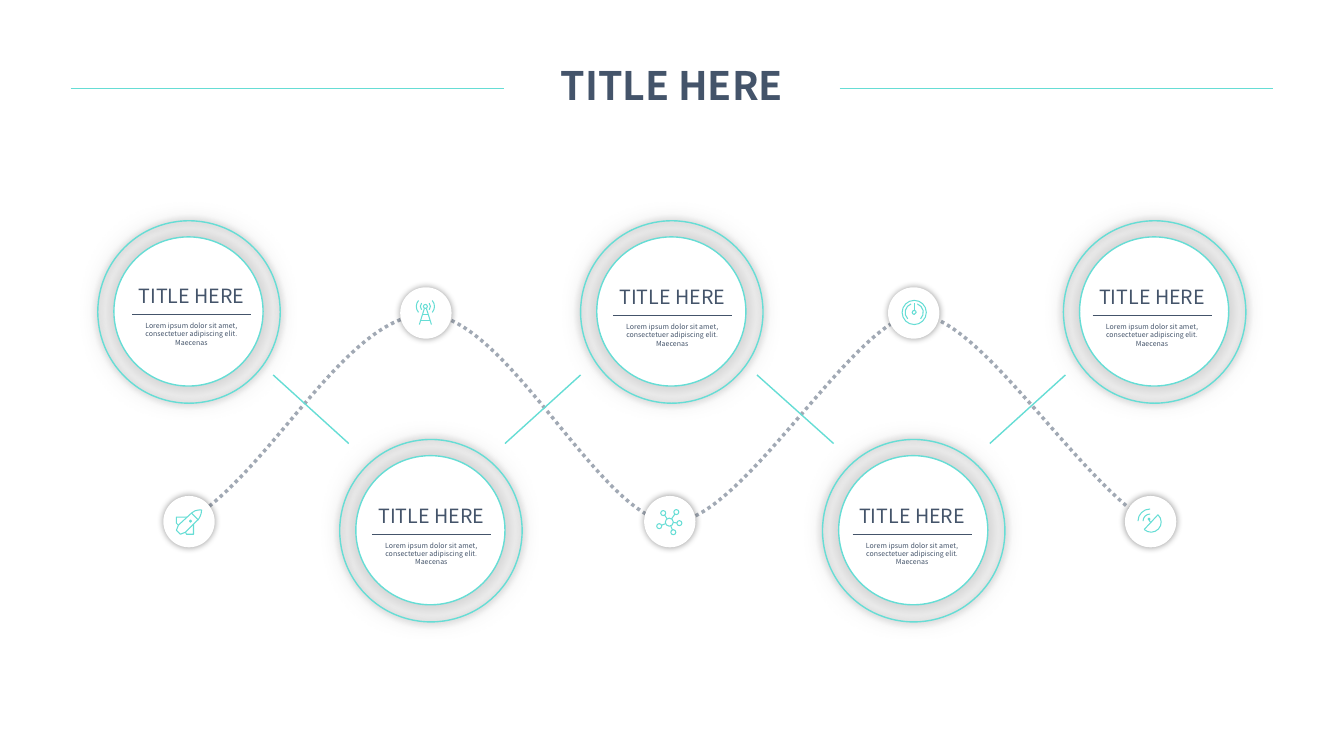
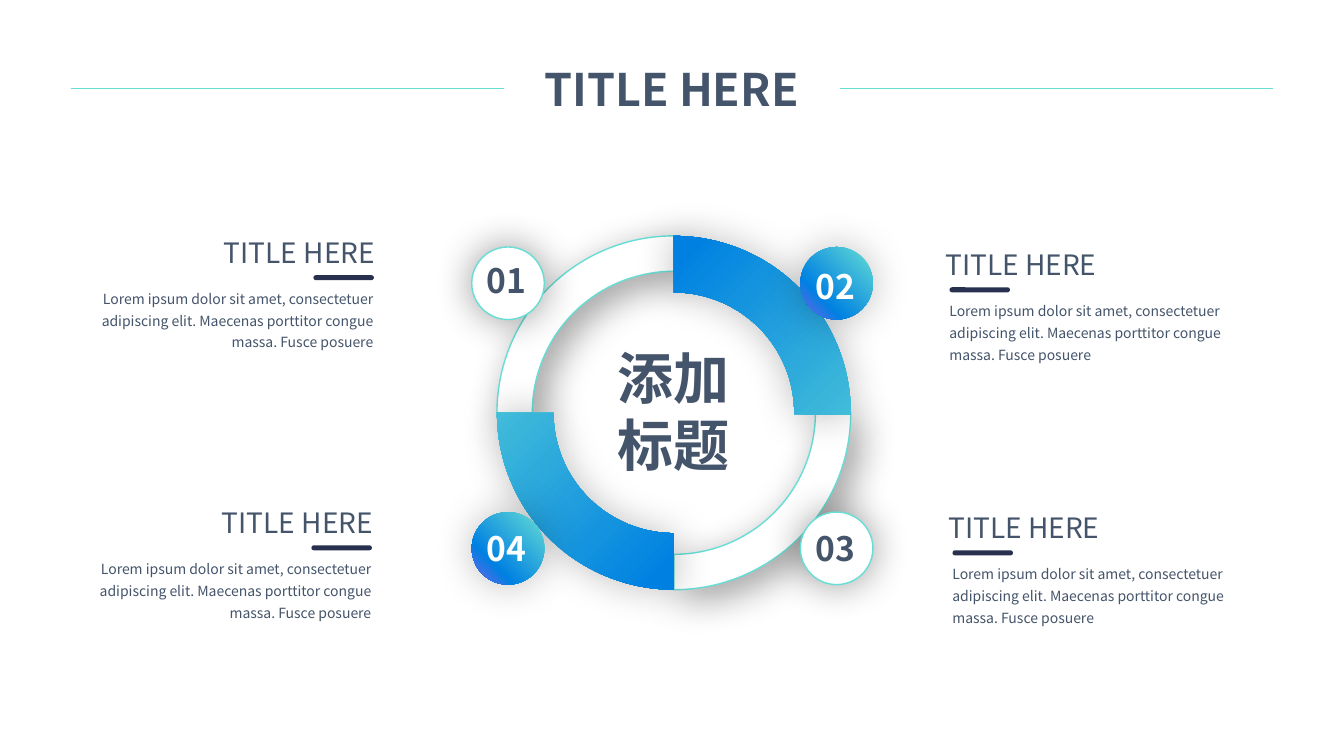
from math import cos, sin, tan, radians, hypot

from lxml import etree
from pptx import Presentation
from pptx.dml.color import RGBColor
from pptx.enum.dml import MSO_LINE
from pptx.enum.shapes import MSO_CONNECTOR, MSO_SHAPE
from pptx.enum.text import MSO_AUTO_SIZE, PP_ALIGN
from pptx.oxml.ns import qn
from pptx.util import Emu, Pt

PX = 9144  # 100 px to the inch
FONT = "Noto Sans CJK SC"
OVAL, ARC, PILL = MSO_SHAPE.OVAL, MSO_SHAPE.BLOCK_ARC, MSO_SHAPE.ROUNDED_RECTANGLE
LINE, DOTS, GROW = MSO_CONNECTOR.STRAIGHT, MSO_LINE.ROUND_DOT, MSO_AUTO_SIZE.SHAPE_TO_FIT_TEXT
LEFT, MID, RIGHT = PP_ALIGN.LEFT, PP_ALIGN.CENTER, PP_ALIGN.RIGHT
COLORS = {"ink": "44546A", "teal": "66DDD5", "blue": "0081E1", "violet": "8160EB",
          "navy": "27304F", "white": "FFFFFF", "black": "000000"}
BLEND = [(0, "teal"), (71, "blue")]
HEAD = "TITLE HERE"
SHORT = "Lorem ipsum dolor sit amet, consectetuer adipiscing elit. Maecenas"
LONG = SHORT + " porttitor congue massa. Fusce posuere"


def emu(px):
    return Emu(round(px * PX))


def rgb(name):
    return RGBColor.from_string(COLORS[name])


def arc(x, y, r, start=0, end=360):
    """Bézier knots along a circle, in degrees clockwise from the right."""
    count = -(-abs(end - start) // 90)
    step = radians((end - start) / count)
    pull = 4 / 3 * tan(step / 4)
    knots = [(x + r * cos(radians(start)), y + r * sin(radians(start)))]
    for i in range(count):
        a = radians(start) + i * step
        b = a + step
        knots += [(x + r * (cos(a) - pull * sin(a)), y + r * (sin(a) + pull * cos(a))),
                  (x + r * (cos(b) + pull * sin(b)), y + r * (sin(b) - pull * cos(b))),
                  (x + r * cos(b), y + r * sin(b))]
    return knots


def edge(*points):
    """Bézier knots of straight sides."""
    return [points[0]] + [p for p in points[1:] for _ in range(3)]


class Deck:
    def __init__(self):
        self.file = Presentation()
        self.file.slide_width, self.file.slide_height = emu(1333.33), emu(750)

    def page(self, title, size):
        """Start a slide with its title between two rules."""
        self.slide = self.file.slides.add_slide(self.file.slide_layouts[6])
        self.shapes = self.slide.shapes
        for x in (70, 833):
            self.line((x, 88), (x + 430, 88), "teal", 0.5)
        self.text(title, (500, 56, 333, 2 * size), size, align=MID, bold=True)

    def line(self, start, end, color, width):
        rule = self.shapes.add_connector(LINE, *map(emu, start + end))
        rule.line.color.rgb, rule.line.width = rgb(color), Pt(width)
        etree.SubElement(rule._element.spPr, qn("a:effectLst"))

    def text(self, words, box, size, color="ink", align=LEFT, bold=False, gap=None):
        frame = self.shapes.add_textbox(*map(emu, box)).text_frame
        frame.word_wrap, frame.auto_size = True, GROW
        frame.text = words
        for para in frame.paragraphs:
            para.alignment, para.line_spacing = align, gap
            font = para.font
            font.name, font.size, font.bold = FONT, Pt(size), bold
            font.color.rgb = rgb(color)
            east = etree.SubElement(para._p.pPr.find(qn("a:defRPr")), qn("a:ea"))
            east.set("typeface", FONT)

    def shape(self, kind, box, fill=None, line=None, glow=None, adjust=(), turn=0):
        """Fill is a color name or a list of stops; glow is (alpha, blur, shift)."""
        form = self.shapes.add_shape(kind, *map(emu, box))
        form.rotation = turn
        form.shadow.inherit = False
        for i, value in enumerate(adjust):
            form.adjustments[i] = value
        if isinstance(fill, list):
            self.blend(form, fill)
        elif fill:
            form.fill.solid()
            form.fill.fore_color.rgb = rgb(fill)
        else:
            form.fill.background()
        if line:
            form.line.color.rgb, form.line.width = rgb(line), Pt(1)
        else:
            form.line.fill.background()
        if glow:
            self.glow(form, *glow)

    def blend(self, form, stops):
        form.fill.gradient()
        form.fill.gradient_angle = 225
        ramp = form._element.spPr.find(".//" + qn("a:gsLst"))
        ramp.clear()
        for place, color in stops:
            stop = etree.SubElement(ramp, qn("a:gs"), pos=str(place * 1000))
            etree.SubElement(stop, qn("a:srgbClr"), val=COLORS[color])

    def glow(self, form, alpha, blur, shift=0):
        """Soft shadow, moved down and right by shift."""
        effects = form._element.spPr.find(qn("a:effectLst"))
        shade = etree.SubElement(effects, qn("a:outerShdw"), blurRad=str(Pt(blur)),
                                 dist=str(emu(shift)), dir="2700000", algn="ctr",
                                 rotWithShape="0")
        tint = etree.SubElement(shade, qn("a:srgbClr"), val=COLORS["black"])
        etree.SubElement(tint, qn("a:alpha"), val=str(alpha * 1000))

    def draw(self, strokes, color, width, x=0, y=0):
        """Outline of strokes: two points are a line, more are Bézier knots."""
        pen = None
        for stroke in strokes:
            points = [(emu(x + a), emu(y + b)) for a, b in stroke]
            if pen:
                pen.move_to(*points[0])
            else:
                pen = self.shapes.build_freeform(*points[0], scale=1.0)
            pen.add_line_segments(points[1:], close=False)
        form = pen.convert_to_shape()
        form.shadow.inherit = False
        form.fill.background()
        form.line.color.rgb, form.line.width = rgb(color), Pt(width)
        self.bend(form, strokes)
        return form

    def bend(self, form, strokes):
        """Join each three sides of a curved stroke into one Bézier."""
        sides = iter(form._element.spPr.findall(".//" + qn("a:lnTo")))
        for stroke in strokes:
            group = [next(sides) for _ in stroke[1:]]
            if len(stroke) == 2:
                continue
            for i in range(0, len(group), 3):
                cubic = etree.Element(qn("a:cubicBezTo"))
                group[i].addprevious(cubic)
                for side in group[i:i + 3]:
                    cubic.append(side[0])
                    side.getparent().remove(side)


def rocket():
    body = [(12, -12), (12, -7), (9, -3), (9, -3)]
    body += edge((9, -3), (-4, 10), (-9, 12), (-13, 8), (-11, 3), (2, -9))[1:]
    body += [(6, -13), (12, -12), (12, -12)]
    return [body, [(2, -9), (9, -2)], edge((-2, -5), (-13, -5), (-13, 1), (-11, 3)),
            edge((-4, 10), (-3, 12), (4, 12), (4, 2)), arc(1, -1, 1)]


def tower():
    waves = [arc(0, -7, r, turn - 41, turn + 41) for r in (9, 5) for turn in (0, 180)]
    legs = [[(side, -5), (side * 6, 11)] for side in (-1, 1)]
    return [arc(0, -7, 2), [(-3, 1), (3, 1)], [(-5, 7), (5, 7)]] + legs + waves


def web():
    strokes = [arc(0, 0, 4)]
    for x, y in [(7, -10), (-6, -9), (-10, 4), (4, 10), (10, 1)]:
        far = hypot(x, y)
        strokes += [arc(x, y, 2.5), [(x * k / far, y * k / far) for k in (4, far - 2.5)]]
    return strokes


def gauge():
    return [arc(0, -1, 2), arc(0, -1, 12), arc(0, -1, 9, 45, -70),
            arc(0, -1, 9, 135, 250), [(0, -10), (0, -3)]]


def dish():
    bowl = arc(1, 0, 10, -47, 133)
    return [bowl, [bowl[-1], bowl[0]], arc(-1, -3, 1), [(1, 1), (-1, -2)],
            arc(0, -1, 7, 180, 270), arc(0, -1, 12, 180, 270)]


def path_page(deck):
    deck.page(HEAD, 28)
    wave = [(185, 518), (269, 469), (343, 312), (423, 312), (503, 312), (597, 518),
            (667, 518), (736, 518), (848, 314), (909, 312), (970, 311), (1068, 475),
            (1142, 520)]
    trail = deck.draw([wave], "ink", 2.5)
    trail.line.dash_style = DOTS
    ink = trail._element.spPr.find(qn("a:ln")).find(".//" + qn("a:srgbClr"))
    etree.SubElement(ink, qn("a:alpha"), val="50000")

    for high, low in [(271, 346), (576, 501), (751, 827), (1057, 982)]:
        deck.line((high, 372), (low, 440), "teal", 1)
    spots = [(162, 492, 26, rocket), (397, 285, 25, tower), (639, 492, 25, web),
             (881, 285, 26, gauge), (1116, 492, 25, dish)]
    for x, y, shift, icon in spots:
        deck.shape(OVAL, (x, y, 51, 51), "white", glow=(40, 5))
    for i in range(5):
        x, y = 97 + (479 * i + 1) // 2, 219 + 217 * (i % 2)
        deck.shape(OVAL, (x + 16, y + 16, 148, 148), "white", "teal", (32, 28))
        deck.shape(OVAL, (x, y, 181, 181), None, "teal", (40, 5))
    for x, y, shift, icon in spots:
        deck.draw(icon(), "teal", 0.75, x + shift, y + 26)
    for x, y in [(126, 277), (364, 495), (603, 278), (841, 495), (1079, 278)]:
        deck.text(HEAD, (x, y, 128, 34), 14, align=MID)
        deck.line((x + 5, y + 35), (x + 123, y + 35), "ink", 0.5)
        deck.text(SHORT, (x + 1, y + 37, 126, 35), 5, align=MID)


def ring_page(deck):
    deck.page(HEAD, 32)
    plain = {"fill": "white", "line": "teal", "glow": (40, 28)}
    vivid = {"fill": BLEND, "glow": (25, 29)}
    cast = {**plain, "glow": (40, 28, 12)}
    for turn, look, end, depth in [(180, cast, 162, 0.1), (0, cast, 162, 0.1),
                                   (270, vivid, 162, 0.16), (90, vivid, 162.4, 0.16)]:
        deck.shape(ARC, (493, 234, 351, 351), adjust=(108, end, depth), turn=turn, **look)
    ball = {**vivid, "fill": BLEND + [(100, "violet")]}
    badges = [("01", 468, 245, plain, "ink", 8), ("02", 794, 245, ball, "white", 14),
              ("03", 794, 508, plain, "ink", 11), ("04", 468, 508, ball, "white", 11)]
    for label, x, y, look, color, drop in badges:
        deck.shape(OVAL, (x, y, 72, 72), **look)
    deck.text("添加\n标题", (584, 336, 168, 145), 40, align=MID, bold=True)
    for label, x, y, look, color, drop in badges:
        deck.text(label, (x + 5, y + drop, 63, 50), 24, color, bold=True)
    for x, y, side in [(928, 241, LEFT), (931, 502, LEFT),
                       (152, 229, RIGHT), (150, 497, RIGHT)]:
        note, bar = (4, 14) if side == LEFT else (-104, 159)
        deck.text(HEAD, (x, y, 230, 44), 20, align=side)
        deck.text(LONG, (x + note, y + 49, 332, 74), 10, align=side, gap=1.3)
        deck.shape(PILL, (x + bar, y + 44, 60, 5), "navy", adjust=[0.5])


def main():
    deck = Deck()
    path_page(deck)
    ring_page(deck)
    deck.file.save("out.pptx")


if __name__ == "__main__":
    main()
